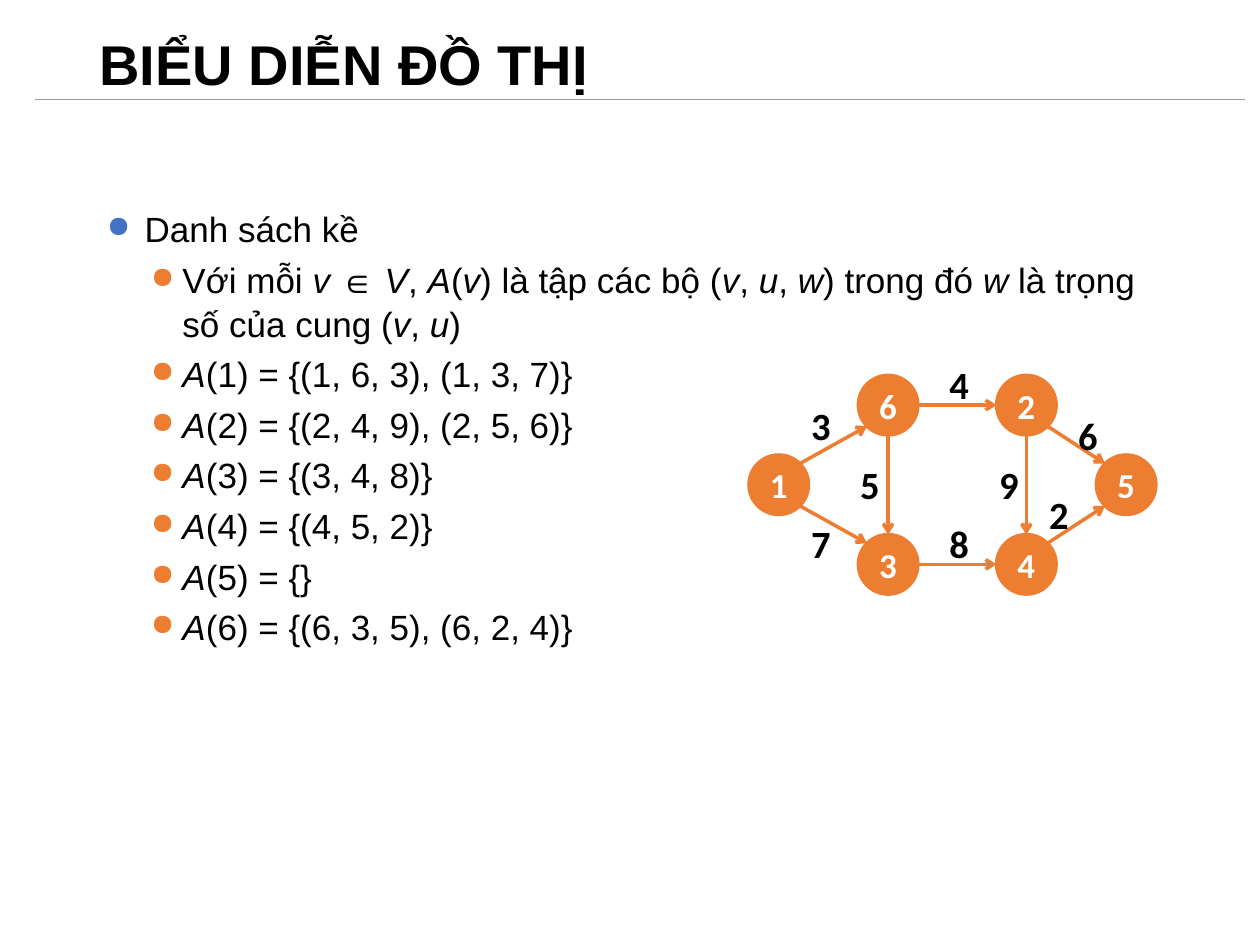
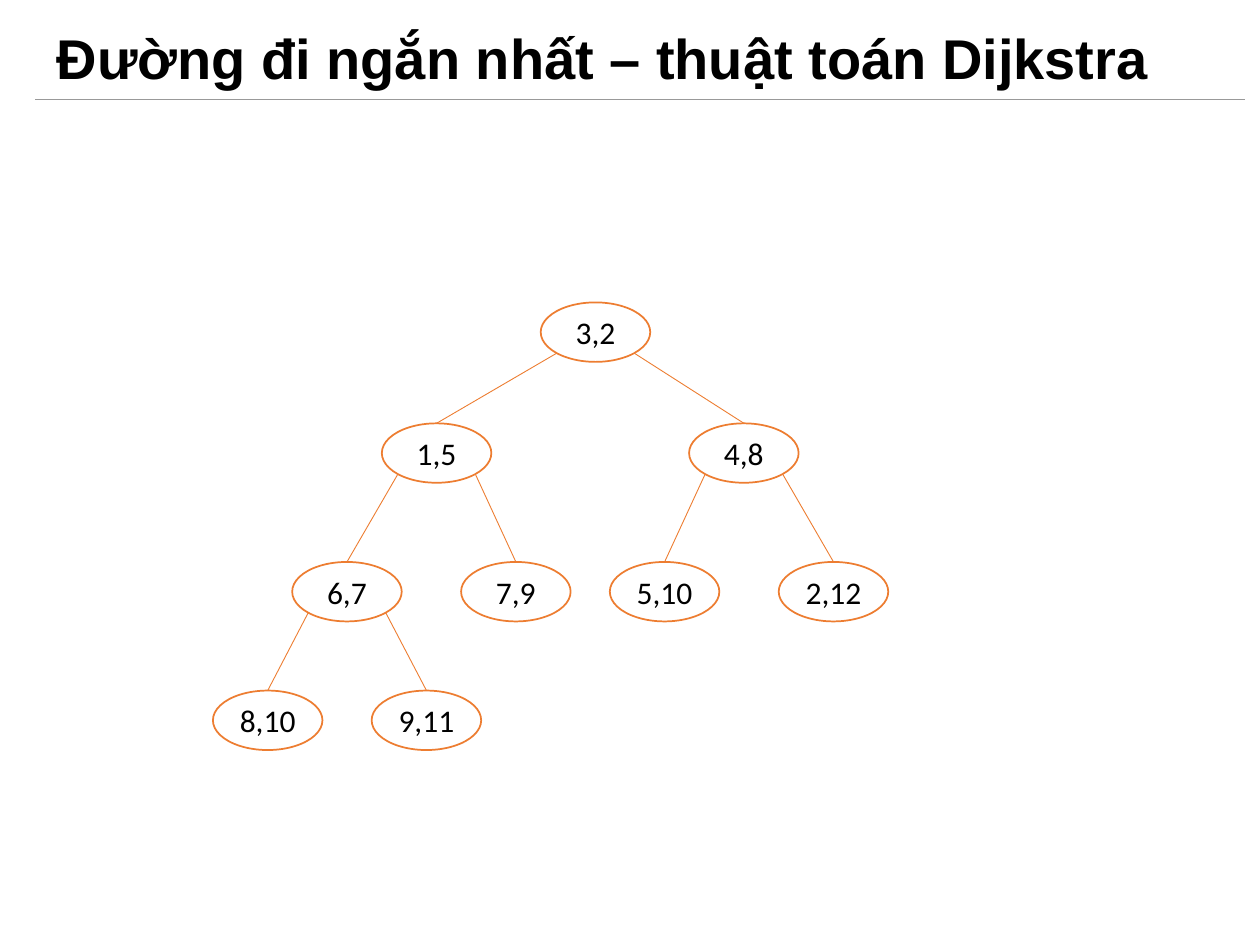
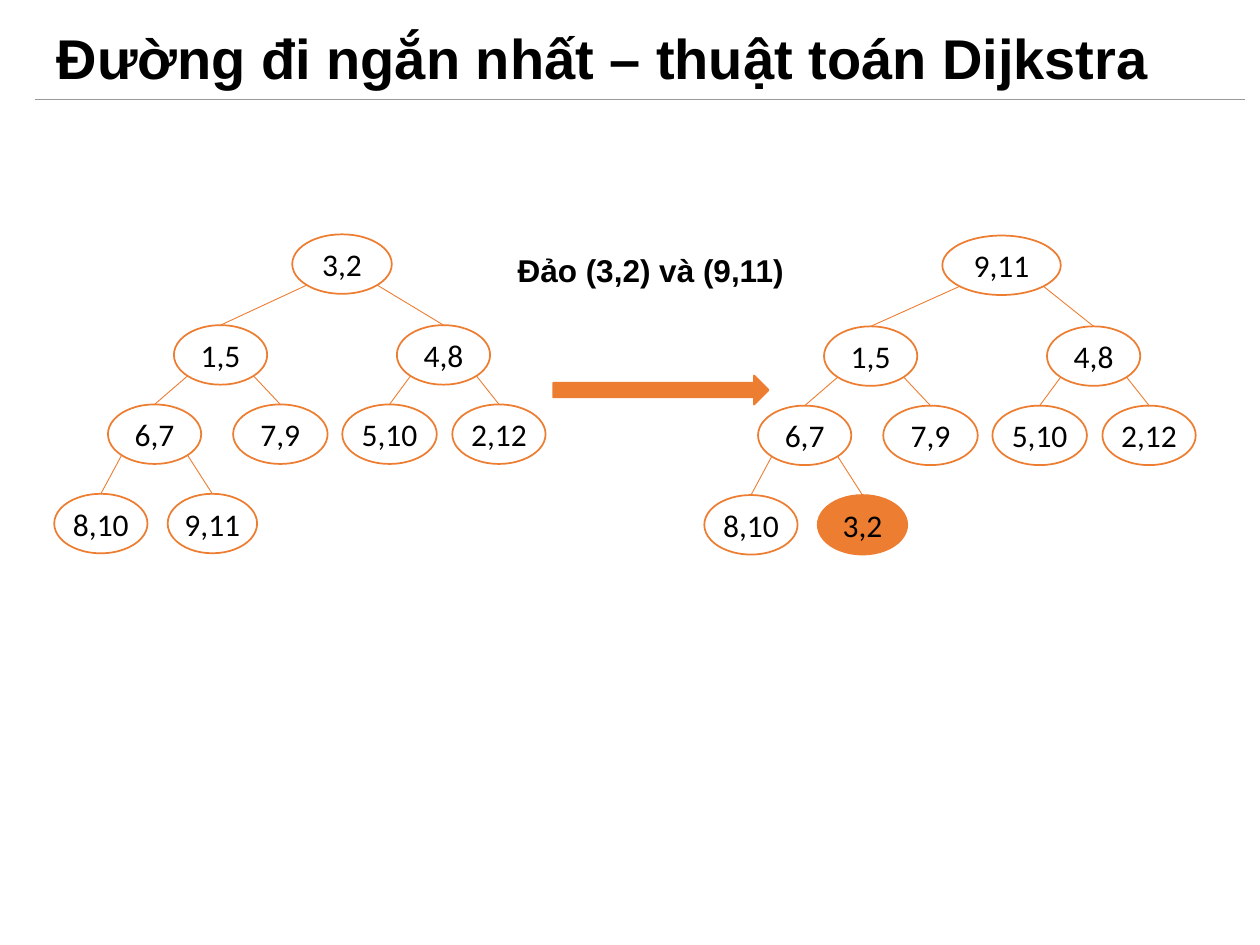
from dataclasses import dataclass
from math import sqrt

from lxml import etree
from pptx import Presentation
from pptx.dml.color import RGBColor
from pptx.enum.shapes import MSO_CONNECTOR, MSO_SHAPE
from pptx.enum.text import MSO_ANCHOR, PP_ALIGN
from pptx.oxml.ns import qn
from pptx.util import Pt

LINE = MSO_CONNECTOR.STRAIGHT
OVAL = MSO_SHAPE.OVAL
ARROW = MSO_SHAPE.RIGHT_ARROW
MIDDLE = MSO_ANCHOR.MIDDLE
LEFT, CENTER = PP_ALIGN.LEFT, PP_ALIGN.CENTER


@dataclass(frozen=True)
class Theme:
    ink: str = "000000"
    paper: str = "FFFFFF"
    main: str = "ED7D31"
    lead: str = "4472C4"
    rule: str = "999999"
    head: str = "Arial"
    node: str = "Calibri"
    title: int = 32
    body: int = 20
    cost: int = 22
    small: int = 18


T = Theme()
OVAL_H = 34
DIAG = sqrt(0.5)

# Directions from a node's centre to the points where edges meet its outline
SITES = {
    "N": (0, -1), "S": (0, 1), "E": (1, 0), "W": (-1, 0),
    "NE": (DIAG, -DIAG), "NW": (-DIAG, -DIAG),
    "SE": (DIAG, DIAG), "SW": (-DIAG, DIAG),
}

# Weighted graph: node -> left, top
GRAPH = {
    "1": (428, 260), "6": (490.5, 214.5), "3": (490.5, 305.5),
    "2": (569.5, 214.5), "4": (569.5, 305.5), "5": (626.5, 260),
}
# Start, its site, end, its site, weight, left and top of the weight
EDGES = [
    ("1", "NE", "6", "SW", "3", 456.5, 226),
    ("1", "SE", "3", "NW", "7", 456.5, 293.8),
    ("6", "E", "2", "W", "4", 535.5, 203),
    ("2", "SE", "5", "NW", "6", 609, 232),
    ("4", "NE", "5", "SW", "2", 592.5, 277),
    ("3", "E", "4", "W", "8", 535.5, 293.8),
    ("6", "S", "3", "N", "5", 484.5, 260),
    ("2", "S", "4", "N", "9", 563.8, 260),
]

# Lists per vertex; text between asterisks is italic
INTRO = ("Với mỗi *v *∈ *V*, *A*(*v*) là tập các bộ (*v*, *u*, *w*) "
         "trong đó *w *là trọng số của cung (*v*, *u*)")
LISTS = ["(1, 6, 3), (1, 3, 7)", "(2, 4, 9), (2, 5, 6)", "(3, 4, 8)",
         "(4, 5, 2)", "", "(6, 3, 5), (6, 2, 4)"]

# Heaps, in level order
HEAP = ["3,2", "1,5", "4,8", "6,7", "7,9", "5,10", "2,12", "8,10", "9,11"]
SWAP = HEAP[-1:] + HEAP[1:-1] + HEAP[:1]
WIDE_X = [309, 218.2, 393.8, 167, 263.5, 348.5, 445, 121.7, 212.4]
WIDE_Y = [172.8, 241.9, 321.1, 394.6]
WIDE_W = [62.6] * len(HEAP)
SLIM_X = [167, 99.4, 226.8, 61.7, 133.2, 195.6, 258.5, 31, 95.8]
SLIM_Y = [133.9, 185.8, 231.1, 282.2]
SLIM_W = [56.9, 53.3, 53.3, 53.3, 54, 54, 53.3, 53.3, 51.1]
SHIFT_X, SHIFT_Y = 371.5, 0.7


def color(code):
    return RGBColor.from_string(code)


def style(font, size, name=T.head, tint=T.ink, bold=False):
    font.size, font.name, font.bold = Pt(size), name, bold
    font.color.rgb = color(tint)


def place(shape, *box):
    shape.left, shape.top, shape.width, shape.height = map(Pt, box)


def add_line(slide, start, end, tint=T.main, width=0.5, arrow=False):
    line = slide.shapes.add_connector(LINE, *map(Pt, (*start, *end)))
    line.line.color.rgb = color(tint)
    line.line.width = Pt(width)
    if arrow:
        ln = line.line._get_or_add_ln()
        etree.SubElement(ln, qn("a:tailEnd"), type="arrow")
    etree.SubElement(line._element.spPr, qn("a:effectLst"))


def add_shape(slide, kind, box, fill=None, width=1):
    shape = slide.shapes.add_shape(kind, *map(Pt, box))
    shape.shadow.inherit = False
    if fill:
        shape.fill.solid()
        shape.fill.fore_color.rgb = color(fill)
    else:
        shape.fill.background()
    shape.line.color.rgb = color(T.main)
    shape.line.width = Pt(width)
    return shape


def add_node(slide, text, box, size=T.small, tint=T.ink, bold=False, **look):
    frame = add_shape(slide, OVAL, box, **look).text_frame
    frame.margin_left = frame.margin_right = 0
    frame.vertical_anchor = MIDDLE
    frame.text = text
    para = frame.paragraphs[0]
    para.alignment = CENTER
    style(para.runs[0].font, size, T.node, tint, bold)


def add_label(slide, text, box, size, name):
    frame = slide.shapes.add_textbox(*map(Pt, box)).text_frame
    frame.word_wrap = True
    frame.text = text
    style(frame.paragraphs[0].runs[0].font, size, name, bold=True)


def site(box, way):
    """Point on the outline of the oval that fills a box."""
    left, top, wide, high = box
    dx, dy = SITES[way]
    return left + wide / 2 * (1 + dx), top + high / 2 * (1 + dy)


def add_slide(deck, text, box):
    slide = deck.slides.add_slide(deck.slide_layouts[5])
    title = slide.shapes.title
    place(title, *box)
    frame = title.text_frame
    frame.word_wrap = True
    frame.vertical_anchor = MIDDLE
    frame.text = text
    para = frame.paragraphs[0]
    para.alignment, para.line_spacing = LEFT, 0.9
    style(para.runs[0].font, T.title, bold=True)
    add_line(slide, (20.2, 56.9), (711.4, 56.9), T.rule)
    return slide


def add_bullet(para, text, level, tint, indent, hang):
    pr = para._p.get_or_add_pPr()
    pr.set("marL", str(Pt(indent)))
    pr.set("indent", str(-Pt(hang)))
    para.level = level
    para.line_spacing = 1.05
    para.space_before = Pt(3.7 if level else 0)
    mark = etree.SubElement(pr, qn("a:buClr"))
    etree.SubElement(mark, qn("a:srgbClr"), val=tint)
    etree.SubElement(pr, qn("a:buSzPct"), val="85000")
    etree.SubElement(pr, qn("a:buChar"), char="●")
    for i, part in enumerate(text.split("*")):
        if part:
            run = para.add_run()
            run.text = part
            style(run.font, T.body)
            run.font.italic = i % 2 == 1


def add_lists(slide):
    box = slide.shapes.add_textbox(*map(Pt, (54, 113.8, 607, 393.8)))
    frame = box.text_frame
    frame.word_wrap = True
    add_bullet(frame.paragraphs[0], "Danh sách kề", 0, T.lead, 21.6, 21.6)
    rows = [f"*A*({i}) = {{{row}}}" for i, row in enumerate(LISTS, 1)]
    for text in [INTRO, *rows]:
        add_bullet(frame.add_paragraph(), text, 1, T.main, 43.2, 18)


def add_graph(slide):
    boxes = {name: (*spot, OVAL_H, OVAL_H) for name, spot in GRAPH.items()}
    for name, box in boxes.items():
        add_node(slide, name, box, T.body, T.paper, True, fill=T.main, width=2)
    for start, out, end, into, cost, left, top in EDGES:
        add_line(slide, site(boxes[start], out), site(boxes[end], into),
                 width=2, arrow=True)
        add_label(slide, cost, (left, top, 28, OVAL_H), T.cost, T.node)


def add_heap(slide, keys, lefts, tops, widths, dx=0, dy=0, mark=None):
    boxes = []
    for i, (key, left, wide) in enumerate(zip(keys, lefts, widths)):
        level = (i + 1).bit_length() - 1
        box = (left + dx, tops[level] + dy, wide, OVAL_H)
        boxes.append(box)
        add_node(slide, key, box, fill=T.main if i == mark else None)
        if i:
            out = "SW" if i % 2 else "SE"
            add_line(slide, site(boxes[(i - 1) // 2], out), site(box, "N"))


def main():
    deck = Presentation()
    deck.slide_width, deck.slide_height = Pt(720), Pt(540)

    # Adjacency lists beside their graph
    slide = add_slide(deck, "BIỂU DIỄN ĐỒ THỊ", (49.7, 9.4, 620.6, 58.3))
    add_lists(slide)
    add_graph(slide)

    path_title = "Đường đi ngắn nhất – thuật toán Dijkstra"
    path_box = (25.2, 9.4, 680.4, 51.1)

    # One heap
    slide = add_slide(deck, path_title, path_box)
    add_heap(slide, HEAP, WIDE_X, WIDE_Y, WIDE_W)

    # Heap before and after the swap of its root and last node
    slide = add_slide(deck, path_title, path_box)
    add_heap(slide, HEAP, SLIM_X, SLIM_Y, SLIM_W)
    add_heap(slide, SWAP, SLIM_X, SLIM_Y, [67.7, *SLIM_W[1:]],
             SHIFT_X, SHIFT_Y, len(SWAP) - 1)
    add_shape(slide, ARROW, (316.1, 214.6, 123.1, 16.6), T.main)
    add_label(slide, "Đảo (3,2) và (9,11)", (288.7, 139.7, 196.6, 28.8),
              T.small, T.head)

    deck.save("out.pptx")


if __name__ == "__main__":
    main()
